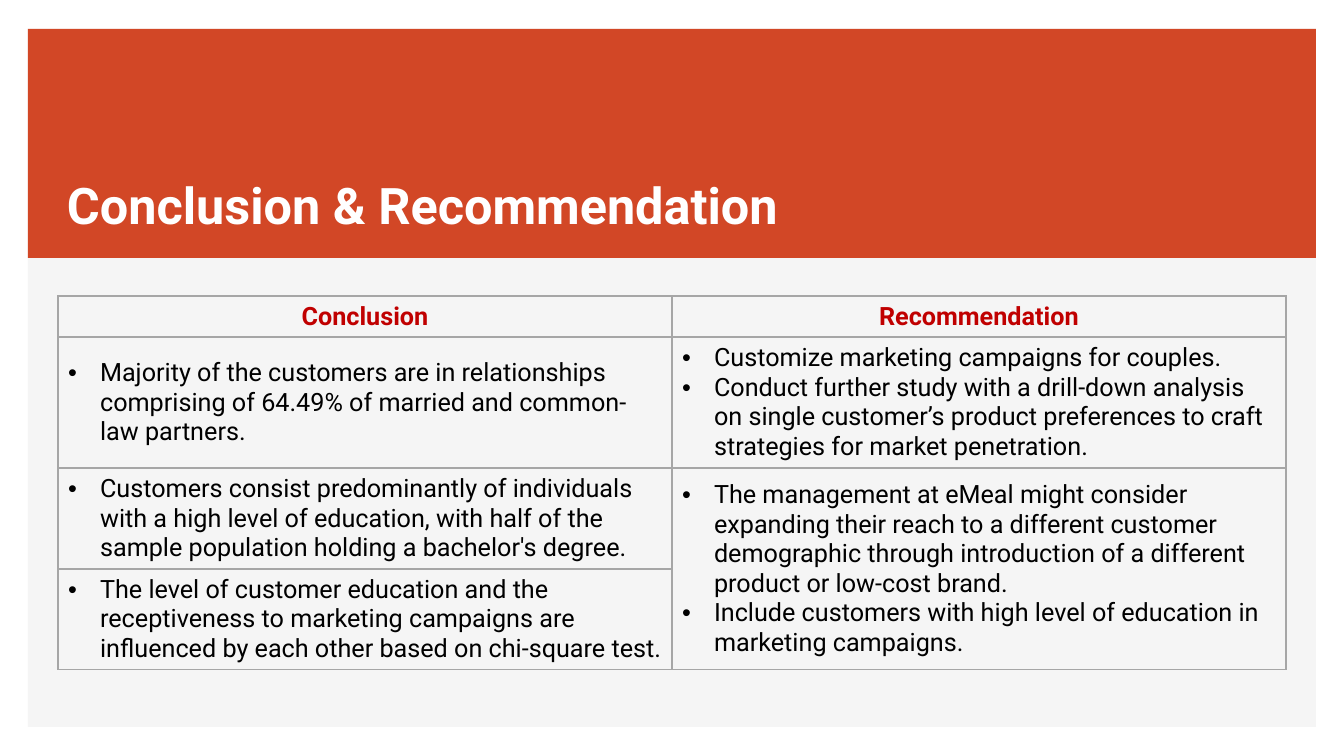
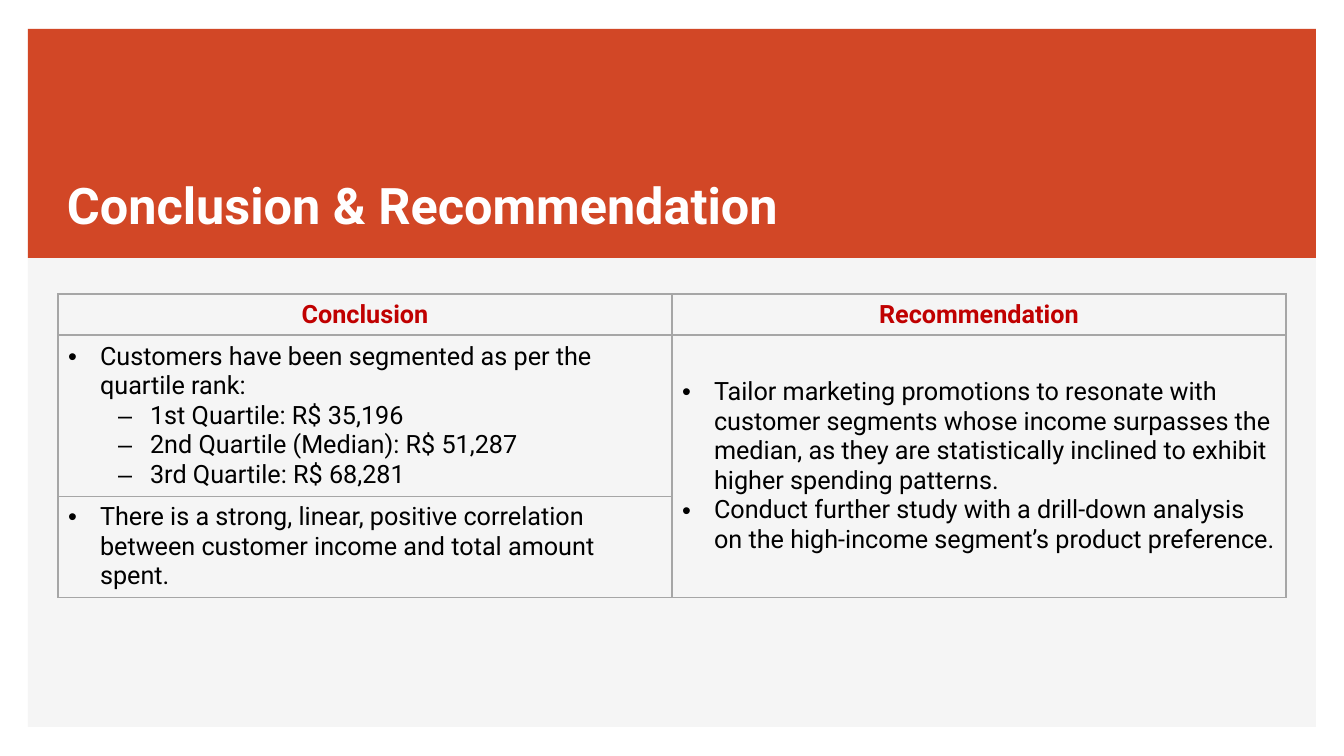
"""Build two slides of conclusions and recommendations."""
from dataclasses import dataclass

from lxml.etree import SubElement
from pptx import Presentation
from pptx.dml.color import RGBColor
from pptx.enum.shapes import MSO_SHAPE
from pptx.enum.text import MSO_ANCHOR, PP_ALIGN
from pptx.oxml import parse_xml
from pptx.oxml.ns import nsdecls, qn
from pptx.util import Pt

TITLE = "Conclusion & Recommendation"
HEADINGS = ("Conclusion", "Recommendation")
MERGED_UP = None

SLIDES = [
    {
        "table_top": 296,
        "row_heights": (41, 128, 99, 99),
        "rows": [
            (
                [(0, "Majority of the customers are in relationships comprising of 64.49% of married and common-law partners.")],
                [
                    (0, "Customize marketing campaigns for couples."),
                    (0, "Conduct further study with a drill-down analysis on single customer’s product preferences to craft strategies for market penetration."),
                ],
            ),
            (
                [(0, "Customers consist predominantly of individuals with a high level of education, with half of the sample population holding a bachelor's degree.")],
                [
                    (0, "The management at eMeal might consider expanding their reach to a different customer demographic through introduction of a different product or low-cost brand."),
                    (0, "Include customers with high level of education in marketing campaigns."),
                ],
            ),
            (
                [(0, "The level of customer education and the receptiveness to marketing campaigns are influenced by each other based on chi-square test.")],
                MERGED_UP,
            ),
        ],
    },
    {
        "table_top": 294,
        "row_heights": (41, 158, 99),
        "rows": [
            (
                [
                    (0, "Customers have been segmented as per the quartile rank:"),
                    (1, "1st Quartile: R$ 35,196"),
                    (1, "2nd Quartile (Median): R$ 51,287"),
                    (1, "3rd Quartile: R$ 68,281"),
                ],
                [
                    (0, "Tailor marketing promotions to resonate with customer segments whose income surpasses the median, as they are statistically inclined to exhibit higher spending patterns."),
                    (0, "Conduct further study with a drill-down analysis on the high-income segment’s product preference."),
                ],
            ),
            (
                [(0, "There is a strong, linear, positive correlation between customer income and total amount spent.")],
                MERGED_UP,
            ),
        ],
    },
]


@dataclass(frozen=True)
class Theme:
    font: str = "Roboto"
    panel: str = "F5F5F5"
    band: str = "D24726"
    title: str = "FFFFFF"
    heading: str = "C00000"
    body: str = "000000"
    border: str = "A6A6A6"
    title_size: int = 36
    table_size: int = 18
    border_width: int = 1


THEME = Theme()
SLIDE_SIZE = (1344, 756)
PANEL = (28, 29, 1288, 698)
BAND = (28, 29, 1288, 229)
TITLE_BOX = (57, 169, 758, 71)
TABLE_LEFT, COLUMN_WIDTH = 58, 614
BULLETS = ("•", "‒")
HANGING, LEVEL_STEP = 32, 50


def px(length):
    return round(length * 914400 / 100.8)


def add_run(paragraph, text, size, color, bold=False):
    run = paragraph.add_run()
    run.text = text
    run.font.name = THEME.font
    run.font.size = Pt(size)
    run.font.bold = bold
    run.font.color.rgb = RGBColor.from_string(color)


def add_block(slide, box, color):
    block = slide.shapes.add_shape(MSO_SHAPE.RECTANGLE, *map(px, box))
    block.shadow.inherit = False
    block.fill.solid()
    block.fill.fore_color.rgb = RGBColor.from_string(color)
    block.line.fill.background()


def add_frame(slide):
    add_block(slide, PANEL, THEME.panel)
    add_block(slide, BAND, THEME.band)
    frame = slide.shapes.add_textbox(*map(px, TITLE_BOX)).text_frame
    frame.word_wrap = True
    frame.vertical_anchor = MSO_ANCHOR.BOTTOM
    add_run(frame.paragraphs[0], TITLE, THEME.title_size, THEME.title, bold=True)


def style_cell(cell):
    cell.vertical_anchor = MSO_ANCHOR.MIDDLE
    cell.fill.background()
    properties = cell._tc.get_or_add_tcPr()
    for position, side in enumerate(("lnL", "lnR", "lnT", "lnB")):
        properties.insert(position, parse_xml(
            f'<a:{side} {nsdecls("a")} w="{Pt(THEME.border_width)}"><a:solidFill>'
            f'<a:srgbClr val="{THEME.border}"/></a:solidFill></a:{side}>'))


def fill_bullets(cell, items):
    frame = cell.text_frame
    for index, (level, text) in enumerate(items):
        paragraph = frame.add_paragraph() if index else frame.paragraphs[0]
        paragraph.level = level
        properties = paragraph._p.get_or_add_pPr()
        properties.set("marL", str(px(HANGING + level * LEVEL_STEP)))
        properties.set("indent", str(-px(HANGING)))
        SubElement(properties, qn("a:buFont")).set("typeface", "Arial")
        SubElement(properties, qn("a:buChar")).set("char", BULLETS[level])
        add_run(paragraph, text, THEME.table_size, THEME.body)


def add_findings(slide, content):
    heights = content["row_heights"]
    table = slide.shapes.add_table(
        len(heights), len(HEADINGS), px(TABLE_LEFT), px(content["table_top"]),
        px(COLUMN_WIDTH * len(HEADINGS)), px(sum(heights))).table
    table.first_row = table.horz_banding = False
    for column in table.columns:
        column.width = px(COLUMN_WIDTH)
    for row, height in zip(table.rows, heights):
        row.height = px(height)
    for cell in table.iter_cells():
        style_cell(cell)
    for column, heading in enumerate(HEADINGS):
        paragraph = table.cell(0, column).text_frame.paragraphs[0]
        paragraph.alignment = PP_ALIGN.CENTER
        add_run(paragraph, heading, THEME.table_size, THEME.heading, bold=True)
    for row, findings in enumerate(content["rows"], start=1):
        for column, items in enumerate(findings):
            cell = table.cell(row, column)
            if items is MERGED_UP:
                table.cell(row - 1, column).merge(cell)
            else:
                fill_bullets(cell, items)


def main():
    deck = Presentation()
    deck.slide_width, deck.slide_height = map(px, SLIDE_SIZE)
    for content in SLIDES:
        slide = deck.slides.add_slide(deck.slide_layouts[6])
        add_frame(slide)
        add_findings(slide, content)
    deck.save("out.pptx")


if __name__ == "__main__":
    main()
